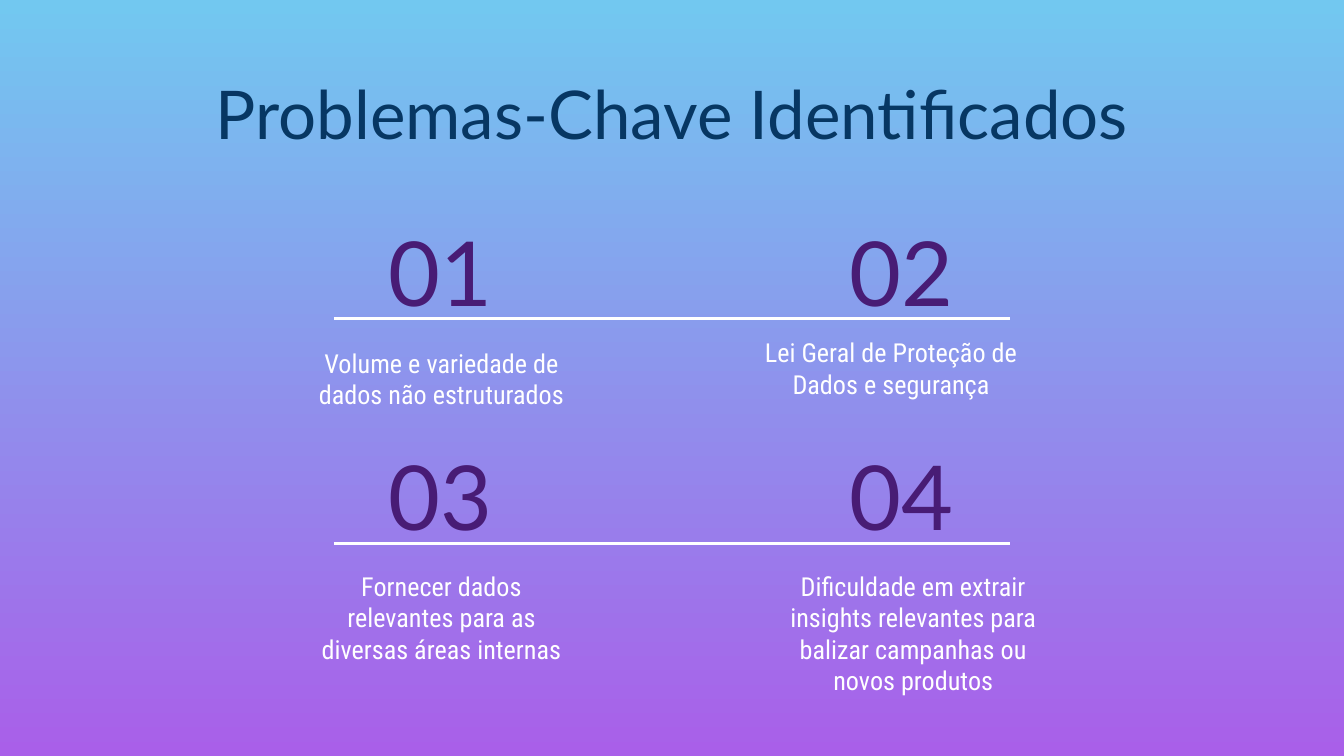
from dataclasses import dataclass

from lxml import etree
from pptx import Presentation
from pptx import util as u
from pptx.dml.color import RGBColor
from pptx.enum import shapes, text
from pptx.oxml import ns

PX = u.Inches(1) // 200


@dataclass(frozen=True)
class Theme:
    """Colours, fonts and type sizes of the slide."""
    sky: str = "72C8F0"
    violet: str = "A95FE9"
    navy: str = "073763"
    plum: str = "481C75"
    white: str = "FFFFFF"
    head_font: str = "Lato"
    body_font: str = "Roboto Condensed"
    title_size: int = 36
    number_size: int = 48
    body_size: int = 14
    rule_width: float = 1.5


T = Theme()


def add_text(s, box, content, *, font, size, color, anchor=text.MSO_ANCHOR.TOP):
    """Place centred, wrapped text in a box given in px."""
    sp = s.shapes.add_textbox(*(v * PX for v in box))
    tf = sp.text_frame
    tf.word_wrap = True
    tf.vertical_anchor = anchor
    tf.margin_left = tf.margin_right = tf.margin_top = tf.margin_bottom = 20 * PX
    p = tf.paragraphs[0]
    p.alignment = text.PP_ALIGN.CENTER
    r = p.add_run()
    r.text = content
    r.font.name = font
    r.font.size = u.Pt(size)
    r.font.color.rgb = RGBColor.from_string(color)


def add_rule(s, x, y, w):
    """Draw a horizontal white rule."""
    sp = s.shapes.add_connector(shapes.MSO_CONNECTOR.STRAIGHT,
                                x * PX, y * PX, (x + w) * PX, y * PX)
    sp.line.color.rgb = RGBColor.from_string(T.white)
    sp.line.width = u.Pt(T.rule_width)
    etree.SubElement(sp._element.spPr, ns.qn("a:effectLst"))


def add_background(s):
    """Fill the slide with a gradient running from top to bottom."""
    fill = s.background.fill
    fill.gradient()
    fill.gradient_angle = 270
    for stop, color in zip(fill.gradient_stops, (T.sky, T.violet)):
        stop.color.rgb = RGBColor.from_string(color)


def add_title(s, box, content):
    """Place the slide title."""
    add_text(s, box, content, font=T.head_font, size=T.title_size, color=T.navy)


def add_problem_row(s, box, rule_y, problems):
    """Place a row of numbered problems around a shared rule."""
    x, y, w = box
    add_rule(s, x, y + rule_y, w)
    for number_x, (number, caption_x, caption_y, caption) in zip((-33, 653), problems):
        add_text(s, (x + number_x, y, 384, 126), number, font=T.head_font,
                 size=T.number_size, color=T.plum, anchor=text.MSO_ANCHOR.MIDDLE)
        add_text(s, (x + caption_x, y + caption_y, 416, 80), caption,
                 font=T.body_font, size=T.body_size, color=T.white)


def main():
    """Build and save the slide."""
    prs = Presentation()
    prs.slide_width, prs.slide_height = 2000 * PX, 1125 * PX
    s = prs.slides.add_slide(prs.slide_layouts[6])
    add_background(s)
    add_title(s, (245, 88, 1510, 206), "Problemas-Chave Identificados")
    add_problem_row(s, (497, 340, 1006), 134, [
        ("01", -48, 157, "Volume e variedade de dados não estruturados"),
        ("02", 621, 141, "Lei Geral de Proteção de Dados e segurança"),
    ])
    add_problem_row(s, (497, 673, 1006), 136, [
        ("03", -48, 156, "Fornecer dados relevantes para as diversas áreas internas"),
        ("04", 654, 156, "Dificuldade em extrair insights relevantes para "
                         "balizar campanhas ou novos produtos"),
    ])
    prs.save("out.pptx")


if __name__ == "__main__":
    main()
